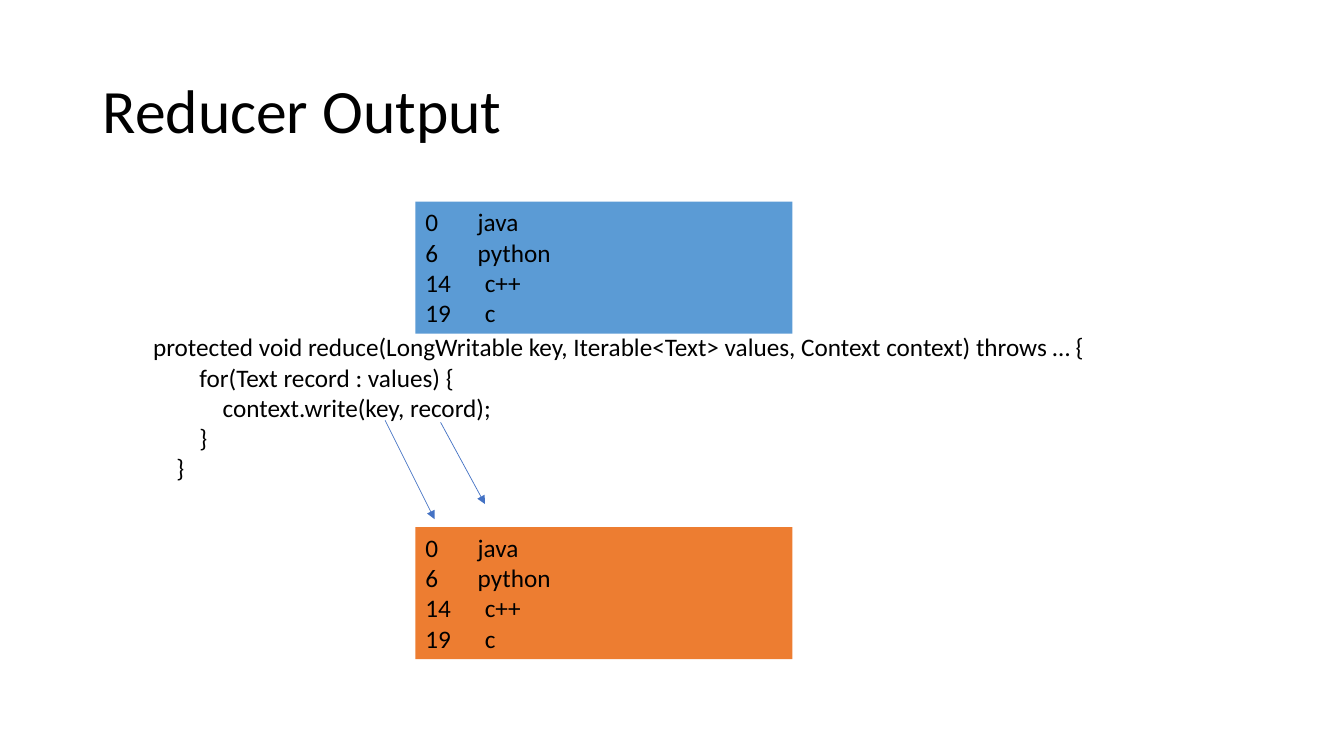
from lxml import etree
from pptx import Presentation
from pptx.dml.color import RGBColor
from pptx.enum import shapes, text
from pptx.oxml import ns
from pptx.util import Inches, Pt

BLACK = RGBColor(0x00, 0x00, 0x00)
INPUT_BLUE = RGBColor(0x5B, 0x9B, 0xD5)
OUTPUT_ORANGE = RGBColor(0xED, 0x7D, 0x31)
ARROW_BLUE = RGBColor(0x44, 0x72, 0xC4)
FONT = "Calibri"
INDENT = 0.23  # one level of code indentation, inches

RECORDS = [("0", "java"), ("6", "python"), ("14", "c++"), ("19", "c")]
CODE = [
    (0, "protected void reduce(LongWritable key, Iterable<Text> values, "
        "Context context) throws … {"),
    (2, "for(Text record : values) {"),
    (3, "context.write(key, record);"),
    (2, "}"),
    (1, "}"),
]


def add_span(para, wording, size=18):
    span = para.add_run()
    span.text = wording
    span.font.name = FONT
    span.font.size = Pt(size)
    span.font.color.rgb = BLACK


def add_paras(frame, count):
    """Return count left-aligned paragraphs, reusing the first one."""
    paras = [frame.paragraphs[0]]
    paras += [frame.add_paragraph() for _ in range(count - 1)]
    for para in paras:
        para.alignment = text.PP_ALIGN.LEFT
    return paras


def add_text_box(page, left, top, width, height):
    box = page.shapes.add_textbox(
        Inches(left), Inches(top), Inches(width), Inches(height))
    box.text_frame.word_wrap = True
    return box.text_frame


def add_title(page, wording):
    frame = add_text_box(page, 0.92, 0.4, 11.5, 1.45)
    frame.vertical_anchor = text.MSO_ANCHOR.MIDDLE
    para = add_paras(frame, 1)[0]
    para.line_spacing = 0.9
    add_span(para, wording, 44)


def add_code(page, lines):
    frame = add_text_box(page, 1.42, 3.24, 10.58, 1.62)
    for para, (level, wording) in zip(add_paras(frame, len(lines)), lines):
        properties = para._p.get_or_add_pPr()
        properties.set("marL", str(Inches(level * INDENT)))
        properties.set("indent", "0")
        add_span(para, wording)


def set_tab_stop(para, position):
    stops = etree.SubElement(para._p.get_or_add_pPr(), ns.qn("a:tabLst"))
    etree.SubElement(stops, ns.qn("a:tab"), pos=str(Inches(position)), algn="l")


def add_record_box(page, top, color):
    box = page.shapes.add_shape(
        shapes.MSO_SHAPE.RECTANGLE,
        Inches(4.12), Inches(top), Inches(3.74), Inches(1.31))
    box.shadow.inherit = False
    box.fill.solid()
    box.fill.fore_color.rgb = color
    box.line.fill.background()
    frame = box.text_frame
    frame.word_wrap = True
    frame.vertical_anchor = text.MSO_ANCHOR.TOP
    for para, (key, record) in zip(add_paras(frame, len(RECORDS)), RECORDS):
        # Records with two-digit keys start slightly further right
        set_tab_stop(para, 0.52 if len(key) == 1 else 0.59)
        add_span(para, f"{key}\t{record}")


def add_arrow(page, start, end):
    arrow = page.shapes.add_connector(
        shapes.MSO_CONNECTOR.STRAIGHT, *map(Inches, start + end))
    arrow.line.color.rgb = ARROW_BLUE
    arrow.line.width = Pt(0.5)
    etree.SubElement(
        arrow.line._get_or_add_ln(), ns.qn("a:tailEnd"), type="triangle")
    etree.SubElement(arrow._element.spPr, ns.qn("a:effectLst"))


def main():
    deck = Presentation()
    deck.slide_width, deck.slide_height = Inches(13.33), Inches(7.5)
    page = deck.slides.add_slide(deck.slide_layouts[6])

    add_title(page, "Reducer Output")

    # Reducer code and its input
    add_code(page, CODE)
    add_record_box(page, 2, INPUT_BLUE)

    # Key and record flow into the output
    add_arrow(page, (3.82, 4.17), (4.31, 5.15))
    add_arrow(page, (4.37, 4.19), (4.81, 5))
    add_record_box(page, 5.23, OUTPUT_ORANGE)

    deck.save("out.pptx")


main()
